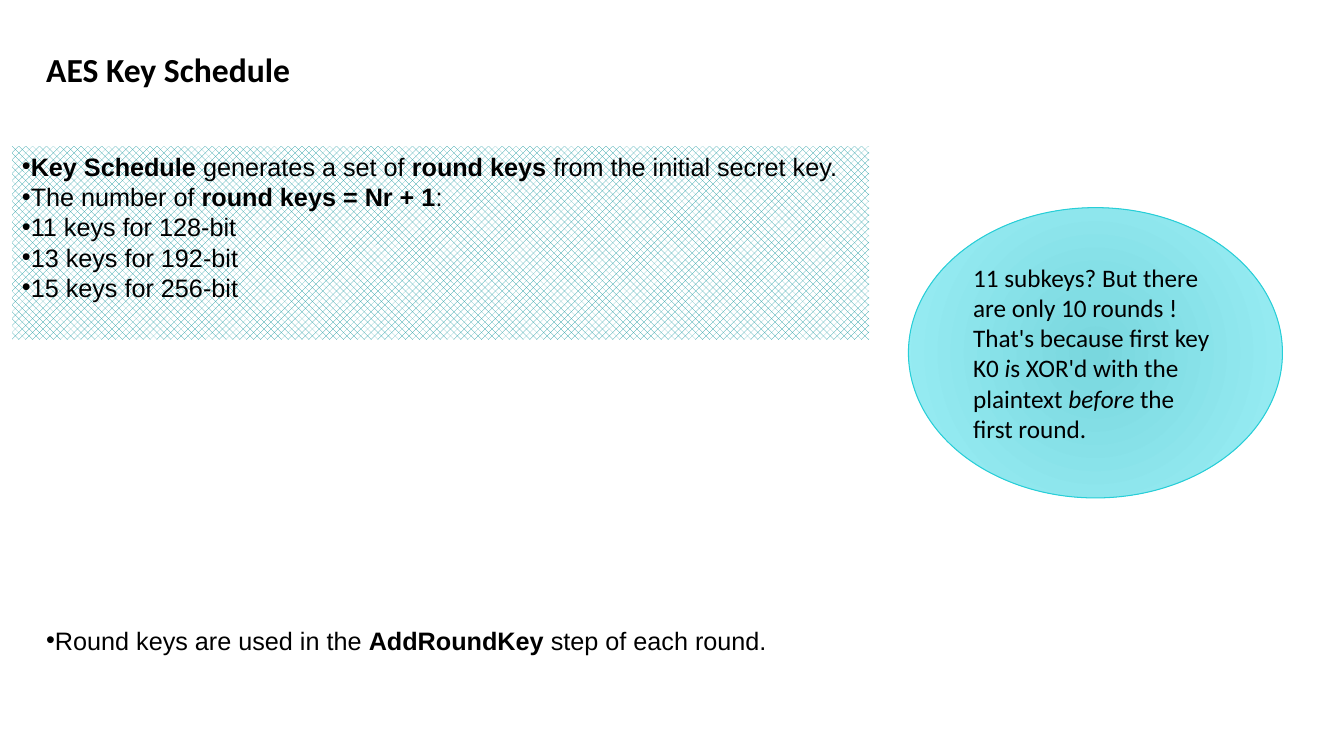
"""Build the AES key schedule slide."""
from lxml import etree
from pptx import Presentation
from pptx.dml.color import RGBColor
from pptx.enum.dml import MSO_PATTERN
from pptx.enum.shapes import MSO_SHAPE
from pptx.enum.text import MSO_ANCHOR, PP_ALIGN
from pptx.oxml.ns import qn
from pptx.util import Inches, Pt

RECTANGLE, OVAL = MSO_SHAPE.RECTANGLE, MSO_SHAPE.OVAL
TOP, MIDDLE = MSO_ANCHOR.TOP, MSO_ANCHOR.MIDDLE
LEFT = PP_ALIGN.LEFT
HATCH = MSO_PATTERN.PERCENT_50

BLACK = RGBColor(0x00, 0x00, 0x00)
WHITE = RGBColor(0xFF, 0xFF, 0xFF)
TEAL = RGBColor(0x1D, 0x9B, 0xA1)
CYAN = RGBColor(0x27, 0xCE, 0xD7)
GRADIENT = (RGBColor(0x79, 0xD7, 0xDE), RGBColor(0x9C, 0xF0, 0xF7))

TITLE = [[("AES Key Schedule", "b")]]
KEY_FACTS = [
    [("Key Schedule", "b"), (" generates a set of ", ""),
     ("round keys", "b"), (" from the initial secret key.", "")],
    [("The number of ", ""), ("round keys = Nr + 1", "b"), (":", "")],
    [("11 keys for 128-bit", "")],
    [("13 keys for 192-bit", "")],
    [("15 keys for 256-bit", "")],
]
USAGE = [[("Round keys are used in the ", ""), ("AddRoundKey", "b"),
          (" step of each round.", "")]]
REMARK = [
    [("11 subkeys? But there are only 10 rounds !", "")],
    [("That's because first key K0", ""), (" i", "i"),
     ("s XOR'd with the plaintext ", ""), ("before", "i"),
     (" the first round.", "")],
]

TITLE_AREA = (0.36, 0.44, 6.67, 0.5)
FACTS_AREA = (0.12, 1.45, 8.5, 1.92)
USAGE_AREA = (0.36, 6.15, 12.6, 0.4)
REMARK_AREA = (9.01, 2.06, 3.71, 2.88)


def write(box, content, font, size=18, anchor=TOP, bullet=False):
    frame = box.text_frame
    frame.word_wrap = True
    frame.vertical_anchor = anchor
    for index, spans in enumerate(content):
        para = frame.add_paragraph() if index else frame.paragraphs[0]
        para.alignment = LEFT
        if bullet:
            properties = para._p.get_or_add_pPr()
            etree.SubElement(properties, qn("a:buFont"), typeface="Arial")
            etree.SubElement(properties, qn("a:buChar"), char="•")
        for text, style in spans:
            span = para.add_run()
            span.text = text
            span.font.name = font
            span.font.size = Pt(size)
            span.font.color.rgb = BLACK
            span.font.bold = style == "b"
            span.font.italic = style == "i"


def add_text(page, area):
    return page.shapes.add_textbox(*map(Inches, area))


def add_panel(page, kind, area):
    panel = page.shapes.add_shape(kind, *map(Inches, area))
    panel.shadow.inherit = False
    return panel


def fill_hatched(panel):
    panel.fill.patterned()
    panel.fill.pattern = HATCH
    panel.fill.fore_color.rgb = TEAL
    panel.fill.back_color.rgb = WHITE
    panel.line.fill.background()


def fill_radial(panel):
    panel.fill.gradient()
    for stop, color in zip(panel.fill.gradient_stops, GRADIENT):
        stop.color.rgb = color
    gradient = panel.element.spPr.find(qn("a:gradFill"))
    radial = etree.Element(qn("a:path"), path="circle")
    etree.SubElement(radial, qn("a:fillToRect"),
                     {side: "100000" for side in "ltrb"})
    gradient.replace(gradient.find(qn("a:lin")), radial)
    panel.line.color.rgb = CYAN
    panel.line.width = Pt(0.75)


def main():
    deck = Presentation()
    deck.slide_width, deck.slide_height = Inches(13.33), Inches(7.5)
    page = deck.slides.add_slide(deck.slide_layouts[6])

    write(add_text(page, TITLE_AREA), TITLE, "Calibri", size=24)

    facts = add_panel(page, RECTANGLE, FACTS_AREA)
    fill_hatched(facts)
    write(facts, KEY_FACTS, "Arial", bullet=True)

    write(add_text(page, USAGE_AREA), USAGE, "Arial", bullet=True)

    remark = add_panel(page, OVAL, REMARK_AREA)
    fill_radial(remark)
    write(remark, REMARK, "Calibri", anchor=MIDDLE)

    deck.save("out.pptx")


if __name__ == "__main__":
    main()
